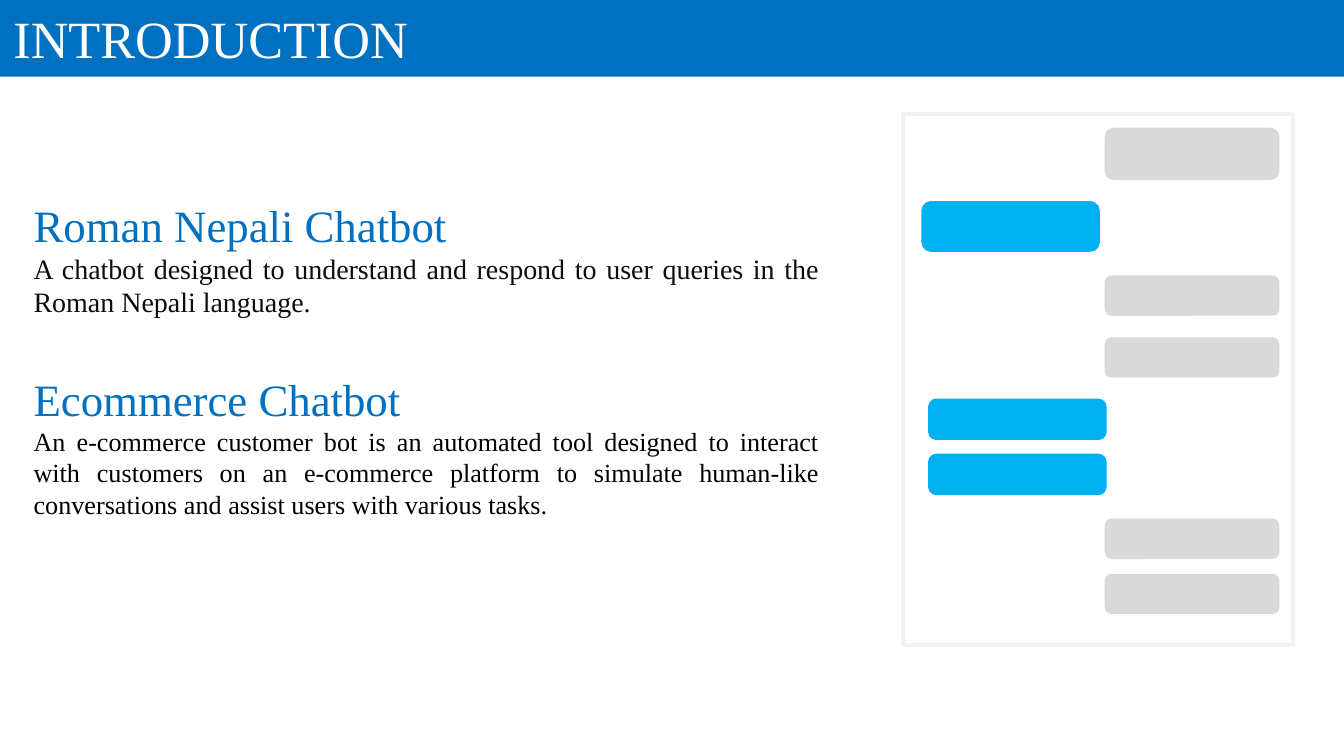
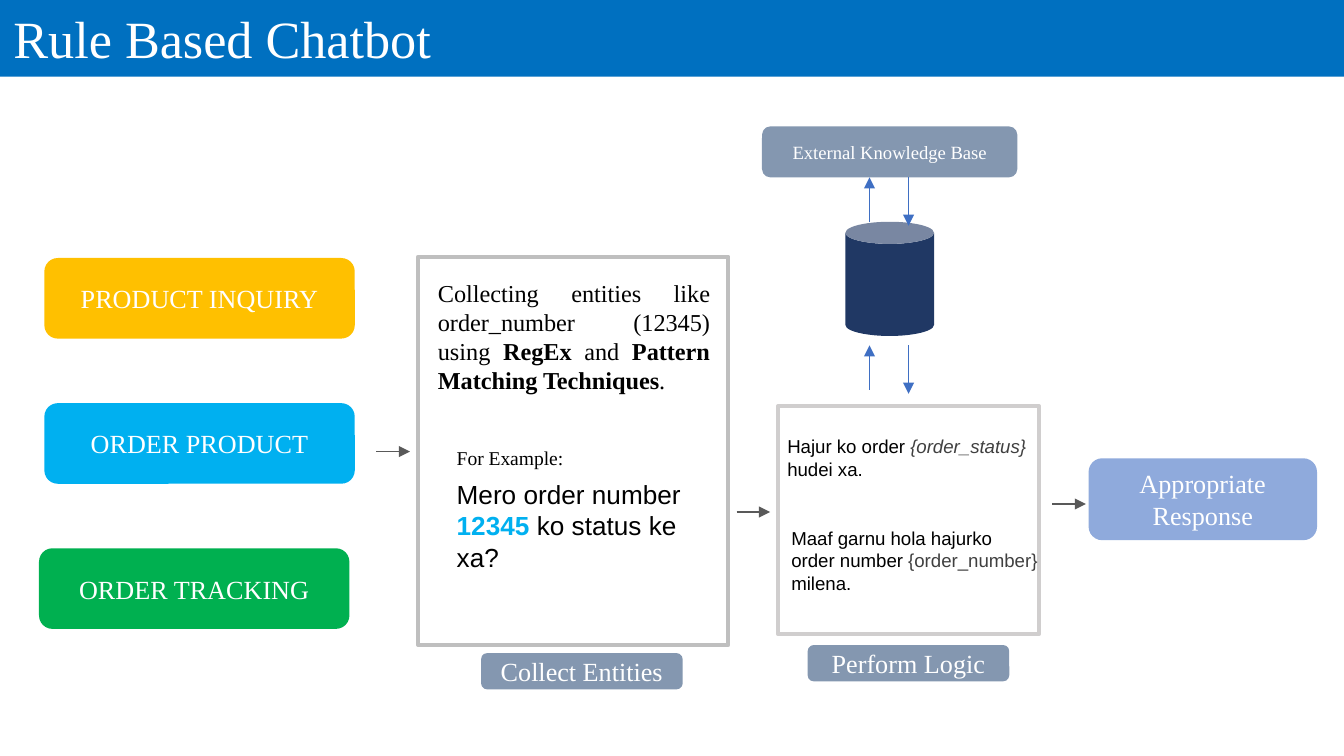
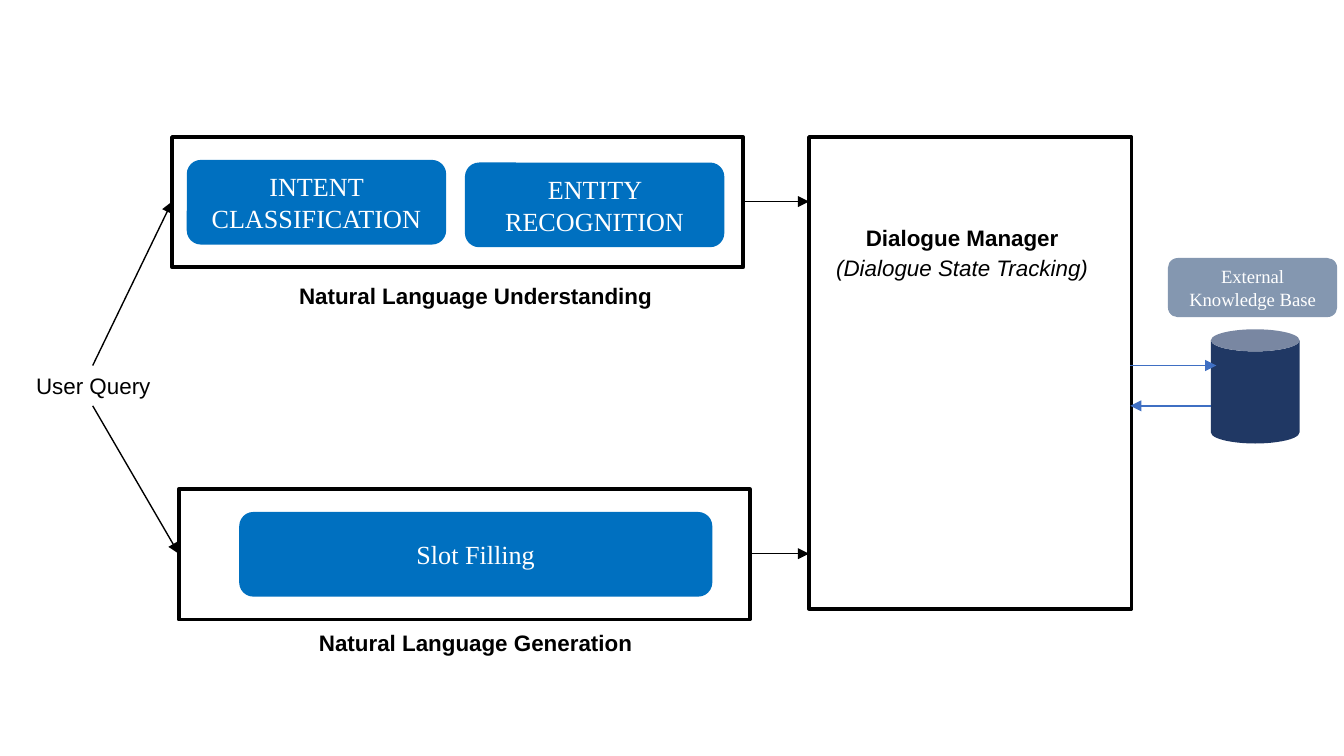
from dataclasses import dataclass
from typing import NamedTuple, Optional

import pptx
import pptx.dml.color
import pptx.enum.shapes
import pptx.enum.text
import pptx.oxml.ns
import pptx.shapes.autoshape
import pptx.slide
import pptx.text.text
import pptx.util
from lxml import etree

Inches = pptx.util.Inches
Pt = pptx.util.Pt
RGBColor = pptx.dml.color.RGBColor
ShapeKind = pptx.enum.shapes.MSO_SHAPE
Align = pptx.enum.text.PP_ALIGN
Anchor = pptx.enum.text.MSO_ANCHOR
qn = pptx.oxml.ns.qn

SERIF = "Times New Roman"
SANS = "Arial"

WHITE = RGBColor(0xFF, 0xFF, 0xFF)
BLACK = RGBColor(0x00, 0x00, 0x00)
BLUE = RGBColor(0x00, 0x70, 0xC0)
SKY = RGBColor(0x00, 0xB0, 0xF0)
GOLD = RGBColor(0xFF, 0xC0, 0x00)
GREEN = RGBColor(0x00, 0xB0, 0x50)
SLATE = RGBColor(0x84, 0x97, 0xB0)
PERIWINKLE = RGBColor(0x8F, 0xAA, 0xDC)
NAVY = RGBColor(0x20, 0x38, 0x64)
ARROW_BLUE = RGBColor(0x3F, 0x6F, 0xC3)
ARROW_GRAY = RGBColor(0x59, 0x59, 0x59)
BUBBLE_GRAY = RGBColor(0xD9, 0xD9, 0xD9)
PALE_GRAY = RGBColor(0xF2, 0xF2, 0xF2)
MID_GRAY = RGBColor(0xBF, 0xBF, 0xBF)
WARM_GRAY = RGBColor(0xD0, 0xCE, 0xCE)
SLOT_GRAY = RGBColor(0x40, 0x40, 0x40)
BODY_DARK = RGBColor(0x0D, 0x0D, 0x0D)

LAYOUT_TITLE_AND_BODY, LAYOUT_TITLE_ONLY, LAYOUT_BLANK = 1, 5, 6


class Box(NamedTuple):
    left: float
    top: float
    width: float
    height: float

    def lengths(self) -> tuple:
        return tuple(Inches(value) for value in self)


class Span(NamedTuple):
    text: str
    color: RGBColor = BLACK
    bold: bool = False
    italic: bool = False


class Arrow(NamedTuple):
    x1: float
    y1: float
    x2: float
    y2: float
    color: RGBColor = BLACK


@dataclass
class Label:
    """A filled rounded box with centred white text."""
    text: str
    box: Box
    fill: RGBColor
    size: float = 14


@dataclass
class Caption:
    """A free text box made of one paragraph."""
    box: Box
    spans: list[Span]
    size: float
    font: str = SANS
    align: Align = Align.LEFT


class BodyEntry(NamedTuple):
    text: str
    size: float
    color: RGBColor
    space_before: float = 0


def format_run(run, font: str, size: float, color: RGBColor,
               bold: bool = False, italic: bool = False) -> None:
    run.font.name = font
    run.font.size = Pt(size)
    run.font.color.rgb = color
    run.font.bold = bold
    run.font.italic = italic


def set_insets(text_frame: pptx.text.text.TextFrame, left: float, top: float,
               right: float, bottom: float) -> None:
    text_frame.margin_left, text_frame.margin_top = Inches(left), Inches(top)
    text_frame.margin_right, text_frame.margin_bottom = Inches(right), Inches(bottom)


def place(shape, box: Box) -> None:
    shape.left, shape.top, shape.width, shape.height = box.lengths()


def add_shape(shapes, kind: ShapeKind, box: Box, fill: Optional[RGBColor] = None,
              line: Optional[RGBColor] = None) -> pptx.shapes.autoshape.Shape:
    shape = shapes.add_shape(kind, *box.lengths())
    shape.shadow.inherit = False
    if fill is None:
        shape.fill.background()
    else:
        shape.fill.solid()
        shape.fill.fore_color.rgb = fill
    if line is None:
        shape.line.fill.background()
    else:
        shape.line.color.rgb = line
        shape.line.width = Pt(2)
    return shape


def add_label(slide: pptx.slide.Slide, label: Label) -> None:
    shape = add_shape(slide.shapes, ShapeKind.ROUNDED_RECTANGLE, label.box, label.fill)
    text_frame = shape.text_frame
    text_frame.text = label.text
    text_frame.word_wrap = True
    text_frame.vertical_anchor = Anchor.MIDDLE
    paragraph = text_frame.paragraphs[0]
    paragraph.alignment = Align.CENTER
    format_run(paragraph.runs[0], SERIF, label.size, WHITE)


def add_caption(slide: pptx.slide.Slide, caption: Caption) -> None:
    text_frame = slide.shapes.add_textbox(*caption.box.lengths()).text_frame
    text_frame.word_wrap = True
    paragraph = text_frame.paragraphs[0]
    paragraph.alignment = caption.align
    for span in caption.spans:
        run = paragraph.add_run()
        run.text = span.text
        format_run(run, caption.font, caption.size, span.color, span.bold, span.italic)


def add_arrow(slide: pptx.slide.Slide, arrow: Arrow) -> None:
    ends = (Inches(value) for value in arrow[:4])
    connector = slide.shapes.add_connector(pptx.enum.shapes.MSO_CONNECTOR.STRAIGHT, *ends)
    connector.line.color.rgb = arrow.color
    connector.line.width = Pt(0.75)
    properties = connector.element.spPr
    etree.SubElement(properties.find(qn("a:ln")), qn("a:tailEnd"), type="triangle")
    etree.SubElement(properties, qn("a:effectLst"))


def add_database(slide: pptx.slide.Slide, left: float, top: float) -> None:
    add_shape(slide.shapes, ShapeKind.CAN, Box(left, top, 0.66, 0.85), NAVY)


def set_title_band(slide: pptx.slide.Slide, text: str) -> None:
    title = slide.shapes.title
    place(title, Box(0, 0, 10, 0.57))
    title.fill.solid()
    title.fill.fore_color.rgb = BLUE
    text_frame = title.text_frame
    text_frame.text = text
    text_frame.auto_size = pptx.enum.text.MSO_AUTO_SIZE.NONE
    text_frame.vertical_anchor = Anchor.TOP
    set_insets(text_frame, 0.1, 0.05, 0.1, 0.05)
    paragraph = text_frame.paragraphs[0]
    paragraph.alignment = Align.LEFT
    format_run(paragraph.runs[0], SERIF, 28, WHITE)


def fill_body(slide: pptx.slide.Slide, box: Box, entries: list[BodyEntry]) -> None:
    body = slide.placeholders[1]
    place(body, box)
    text_frame = body.text_frame
    text_frame.text = "\n".join(entry.text for entry in entries)
    text_frame.auto_size = pptx.enum.text.MSO_AUTO_SIZE.NONE
    text_frame.vertical_anchor = Anchor.TOP
    set_insets(text_frame, 0.08, 0.29, 0.07, 0.04)
    for paragraph, entry in zip(text_frame.paragraphs, entries):
        paragraph.alignment = Align.JUSTIFY
        paragraph.space_before = Pt(entry.space_before)
        properties = paragraph._p.get_or_add_pPr()
        properties.set("marL", "0")
        properties.set("indent", "0")
        etree.SubElement(properties, qn("a:buNone"))
        format_run(paragraph.runs[0], SERIF, entry.size, entry.color)


def build_introduction(presentation) -> None:
    slide = presentation.slides.add_slide(presentation.slide_layouts[LAYOUT_TITLE_AND_BODY])
    set_title_band(slide, "INTRODUCTION")
    fill_body(slide, Box(0.17, 1.18, 6, 3), [
        BodyEntry("Roman Nepali Chatbot", 24, BLUE),
        BodyEntry("A chatbot designed to understand and respond to user queries "
                  "in the Roman Nepali language.", 15, BODY_DARK),
        BodyEntry("Ecommerce Chatbot", 24, BLUE, space_before=28.5),
        BodyEntry("An e-commerce customer bot is an automated tool designed to interact "
                  "with customers on an e-commerce platform to simulate human-like "
                  "conversations and assist users with various tasks. ", 14, BLACK),
    ])

    chat = slide.shapes.add_group_shape().shapes
    add_shape(chat, ShapeKind.RECTANGLE, Box(6.72, 0.85, 2.9, 3.95), WHITE, PALE_GRAY)
    user_bubbles = [(0.95, 0.39), (2.05, 0.3), (2.51, 0.3), (3.86, 0.3), (4.27, 0.3)]
    for top, height in user_bubbles:
        add_shape(chat, ShapeKind.ROUNDED_RECTANGLE, Box(8.22, top, 1.3, height), BUBBLE_GRAY)
    bot_bubbles = [(6.87, 1.51, 0.35), (6.92, 2.98, 0.28), (6.92, 3.39, 0.28)]
    for left, top, height in bot_bubbles:
        add_shape(chat, ShapeKind.ROUNDED_RECTANGLE, Box(left, top, 1.3, height), SKY, SKY)


def build_rule_based(presentation) -> None:
    slide = presentation.slides.add_slide(presentation.slide_layouts[LAYOUT_TITLE_ONLY])
    set_title_band(slide, "Rule Based Chatbot")

    intents = [("PRODUCT INQUIRY", 0.33, GOLD), ("ORDER PRODUCT", 0.33, SKY),
               ("ORDER TRACKING", 0.29, GREEN)]
    for row, (text, left, fill) in enumerate(intents):
        add_label(slide, Label(text, Box(left, 1.92 + 1.08 * row, 2.31, 0.6), fill))

    add_shape(slide.shapes, ShapeKind.RECTANGLE, Box(3.11, 1.91, 2.31, 2.89), WHITE, MID_GRAY)
    add_shape(slide.shapes, ShapeKind.RECTANGLE, Box(5.79, 3.02, 1.94, 1.7), line=WARM_GRAY)
    add_database(slide, 6.29, 1.65)

    for label in [
        Label("Collect Entities", Box(3.58, 4.86, 1.5, 0.27), SLATE),
        Label("Perform Logic", Box(6.01, 4.8, 1.5, 0.27), SLATE),
        Label("External Knowledge Base", Box(5.67, 0.94, 1.9, 0.38), SLATE, 10),
        Label("Appropriate Response", Box(8.1, 3.41, 1.7, 0.61), PERIWINKLE),
    ]:
        add_label(slide, label)

    for caption in [
        Caption(Box(3.16, 2.02, 2.22, 0.98), [
            Span("Collecting entities like order_number (12345) using "),
            Span("RegEx", bold=True), Span(" and "),
            Span("Pattern Matching Techniques", bold=True), Span(". "),
        ], 13, SERIF, Align.JUSTIFY),
        Caption(Box(3.3, 3.27, 1.12, 0.28), [Span("For Example:")], 10.5, SERIF),
        Caption(Box(3.3, 3.51, 1.94, 0.81), [
            Span("Mero order number "), Span("12345", SKY, bold=True),
            Span(" ko status ke xa?"),
        ], 14),
        Caption(Box(5.76, 3.19, 2.04, 0.44), [
            Span("Hajur ko order "), Span("{order_status} ", SLOT_GRAY, italic=True),
            Span("hudei xa."),
        ], 10),
        Caption(Box(5.79, 3.87, 2.04, 0.61), [
            Span("Maaf garnu hola hajurko order number "),
            Span("{order_number} ", SLOT_GRAY), Span("milena."),
        ], 10),
    ]:
        add_caption(slide, caption)

    for left, top in [(2.8, 3.36), (5.48, 3.81), (7.83, 3.75)]:
        add_arrow(slide, Arrow(left, top, left + 0.25, top, ARROW_GRAY))
    for top in (1.32, 2.57):
        add_arrow(slide, Arrow(6.47, top + 0.33, 6.47, top, ARROW_BLUE))
        add_arrow(slide, Arrow(6.76, top, 6.76, top + 0.36, ARROW_BLUE))


def build_architecture(presentation) -> None:
    slide = presentation.slides.add_slide(presentation.slide_layouts[LAYOUT_BLANK])

    for frame in [Box(1.28, 1.02, 4.25, 0.97), Box(1.33, 3.64, 4.25, 0.97),
                  Box(6.02, 1.02, 2.4, 3.51)]:
        add_shape(slide.shapes, ShapeKind.RECTANGLE, frame, line=BLACK)
    add_database(slide, 9.01, 2.45)

    for label in [
        Label("INTENT CLASSIFICATION", Box(1.39, 1.19, 1.93, 0.63), BLUE),
        Label("ENTITY RECOGNITION", Box(3.46, 1.21, 1.93, 0.63), BLUE),
        Label("Slot Filling", Box(1.78, 3.81, 3.52, 0.63), BLUE),
        Label("External Knowledge Base", Box(8.69, 1.92, 1.26, 0.44), SLATE, 10),
    ]:
        add_label(slide, label)

    for left, top, width, span in [
        (0.11, 2.72, 1.17, Span("User Query")),
        (1.99, 2.05, 3.1, Span("Natural Language Understanding", bold=True)),
        (1.99, 4.63, 3.1, Span("Natural Language Generation", bold=True)),
        (6.27, 1.62, 1.78, Span("Dialogue Manager", bold=True)),
        (6.09, 1.84, 2.14, Span("(Dialogue State Tracking)", italic=True)),
    ]:
        add_caption(slide, Caption(Box(left, top, width, 0.3), [span], 12, align=Align.CENTER))

    for arrow in [
        Arrow(0.69, 2.72, 1.28, 1.5),
        Arrow(0.69, 3.02, 1.33, 4.12),
        Arrow(5.53, 1.5, 6.02, 1.5),
        Arrow(5.58, 4.12, 6.02, 4.12),
        Arrow(8.41, 2.72, 9.05, 2.72, ARROW_BLUE),
        Arrow(9.01, 3.02, 8.41, 3.02, ARROW_BLUE),
    ]:
        add_arrow(slide, arrow)


def main() -> None:
    presentation = pptx.Presentation()
    presentation.slide_width = Inches(10)
    presentation.slide_height = Inches(10 * 9 / 16)
    build_introduction(presentation)
    build_rule_based(presentation)
    build_architecture(presentation)
    presentation.save("out.pptx")


if __name__ == "__main__":
    main()
